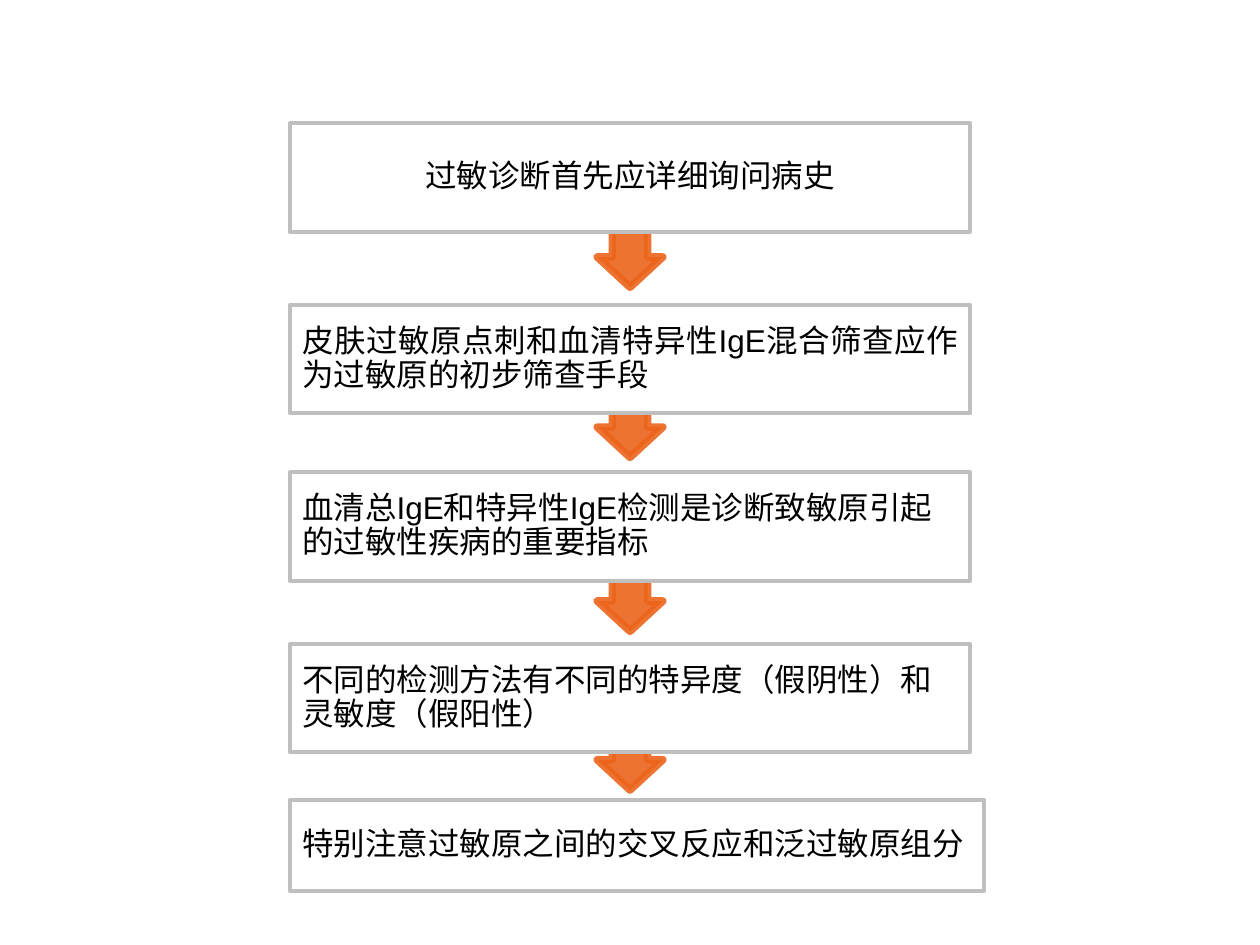
from dataclasses import dataclass

from lxml import etree
from pptx import Presentation
from pptx.dml.color import RGBColor
from pptx.enum.shapes import MSO_SHAPE
from pptx.enum.text import MSO_ANCHOR, PP_ALIGN
from pptx.oxml.ns import qn
from pptx.util import Inches, Pt

RECTANGLE = MSO_SHAPE.RECTANGLE
MIDDLE = MSO_ANCHOR.MIDDLE
LEFT, CENTER, JUSTIFY = PP_ALIGN.LEFT, PP_ALIGN.CENTER, PP_ALIGN.JUSTIFY
BLANK_LAYOUT = 6


@dataclass(frozen=True)
class Theme:
    font: str = "Arial"
    text_size: float = 18
    text: RGBColor = RGBColor(0, 0, 0)
    box_fill: RGBColor = RGBColor(0xFF, 0xFF, 0xFF)
    box_line: RGBColor = RGBColor(0xBF, 0xBF, 0xBF)
    box_line_width: float = 2.25
    arrow: RGBColor = RGBColor(0xEB, 0x64, 0x1B)
    arrow_line_width: float = 4.33
    arrow_opacity: int = 90


THEME = Theme()
PAGE_WIDTH, PAGE_HEIGHT = 10, 7.5
BOX_LEFT = 0.23 * PAGE_WIDTH
BOX_WIDTH, BOX_HEIGHT = 0.54 * PAGE_WIDTH, 0.86
LAST_WIDTH, LAST_HEIGHT = 5.51, 0.72
ARROW_SIZE = 0.52

# Text, alignment, top of the box, top of the arrow below it
STEPS = [
    ("过敏诊断首先应详细询问病史", CENTER, 0.98, 1.76),
    ("皮肤过敏原点刺和血清特异性IgE混合筛查应作为过敏原的初步筛查手段", JUSTIFY, 2.42, 3.11),
    ("血清总IgE和特异性IgE检测是诊断致敏原引起的过敏性疾病的重要指标", LEFT, 3.75, 4.49),
    ("不同的检测方法有不同的特异度（假阴性）和灵敏度（假阳性）", LEFT, 5.11, 5.75),
]
LAST_STEP = ("特别注意过敏原之间的交叉反应和泛过敏原组分", LEFT, 6.35)


def style_shape(shape, fill, line, width):
    shape.shadow.inherit = False
    shape.fill.solid()
    shape.fill.fore_color.rgb = fill
    shape.line.color.rgb = line
    shape.line.width = Pt(width)


def set_opacity(shape, percent):
    """Make both fill and outline partly transparent."""
    for color in shape.element.spPr.iter(qn("a:srgbClr")):
        etree.SubElement(color, qn("a:alpha"), val=str(percent * 1000))


def write_text(box, text, align=LEFT, size=THEME.text_size, color=THEME.text):
    frame = box.text_frame
    frame.word_wrap = True
    frame.vertical_anchor = MIDDLE
    para = frame.paragraphs[0]
    para.alignment = align
    para.line_spacing = 0.9
    span = para.add_run()
    span.text = text
    span.font.name = THEME.font
    span.font.size = Pt(size)
    span.font.color.rgb = color


def add_step(page, text, align, top, width=BOX_WIDTH, height=BOX_HEIGHT):
    box = page.shapes.add_shape(
        RECTANGLE, Inches(BOX_LEFT), Inches(top), Inches(width), Inches(height))
    style_shape(box, THEME.box_fill, THEME.box_line, THEME.box_line_width)
    write_text(box, text, align=align)


def add_down_arrow(page, top):
    """Draw a block arrow on the centre line of the page."""
    middle = PAGE_WIDTH / 2
    half_head, half_shaft = ARROW_SIZE / 2, 0.14
    shoulder, tip = top + 0.28, top + ARROW_SIZE
    points = [
        (middle - half_head, shoulder), (middle - half_shaft, shoulder),
        (middle - half_shaft, top), (middle + half_shaft, top),
        (middle + half_shaft, shoulder), (middle + half_head, shoulder),
        (middle, tip),
    ]
    start, *others = [(Inches(x), Inches(y)) for x, y in points]
    builder = page.shapes.build_freeform(*start)
    builder.add_line_segments(others, close=True)
    arrow = builder.convert_to_shape()
    style_shape(arrow, THEME.arrow, THEME.arrow, THEME.arrow_line_width)
    set_opacity(arrow, THEME.arrow_opacity)
    etree.SubElement(arrow.line._get_or_add_ln(), qn("a:round"))


def main():
    deck = Presentation()
    deck.slide_width, deck.slide_height = Inches(PAGE_WIDTH), Inches(PAGE_HEIGHT)
    page = deck.slides.add_slide(deck.slide_layouts[BLANK_LAYOUT])
    # Arrows come first so that the boxes cover the tops of their shafts
    for *_, arrow_top in STEPS:
        add_down_arrow(page, arrow_top)
    for text, align, top, _ in STEPS:
        add_step(page, text, align, top)
    add_step(page, *LAST_STEP, width=LAST_WIDTH, height=LAST_HEIGHT)
    deck.save("out.pptx")


if __name__ == "__main__":
    main()
